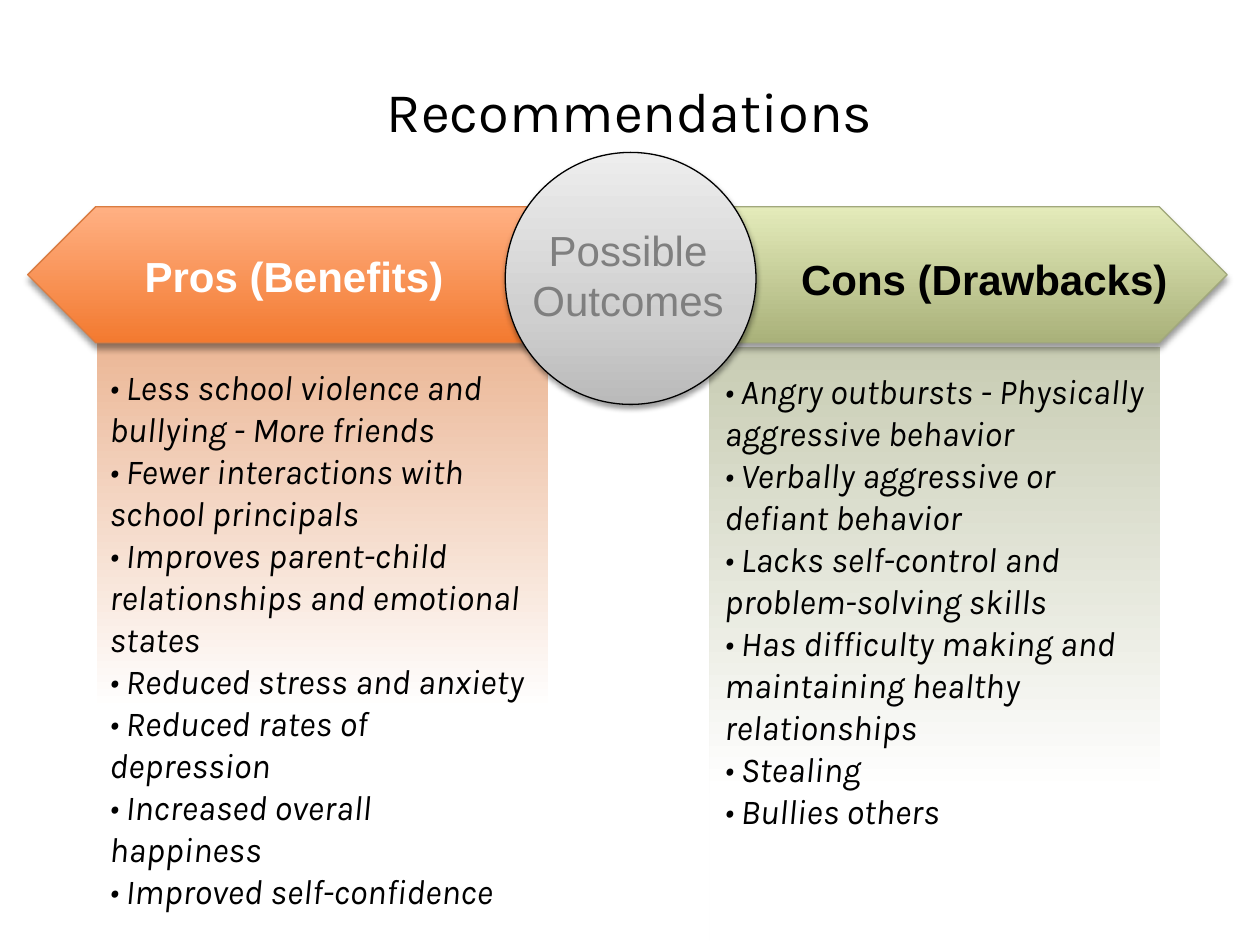
from copy import deepcopy
from dataclasses import dataclass

from lxml import etree
from pptx import Presentation
from pptx import util as u
from pptx.dml.color import RGBColor
from pptx.enum import shapes, text
from pptx.oxml.ns import qn

BLACK = RGBColor(0, 0, 0)
WHITE = RGBColor(0xFF, 0xFF, 0xFF)
GREY = RGBColor(0x7F, 0x7F, 0x7F)
ORANGE_PALE = RGBColor(0xEA, 0xB2, 0x8F)
ORANGE_DARK = RGBColor(0xF3, 0x7A, 0x30)
ORANGE_LIGHT = RGBColor(0xFF, 0xB0, 0x83)
ORANGE_LINE = RGBColor(0xDA, 0x7C, 0x41)
GREEN_PALE = RGBColor(0xC8, 0xCC, 0xB3)
GREEN_DARK = RGBColor(0xA9, 0xB1, 0x7A)
GREEN_LIGHT = RGBColor(0xE4, 0xEB, 0xBA)
GREEN_LINE = RGBColor(0xA1, 0xA8, 0x7C)
SILVERS = [(0, RGBColor(0xBA, 0xBA, 0xBA)), (0.35, RGBColor(0xCF, 0xCF, 0xCF)),
           (1, RGBColor(0xED, 0xED, 0xED))]
DOWN, UP = 270, 90

Place = tuple[float, float, float, float]
Stops = list[tuple[float, RGBColor]]


@dataclass
class Shadow:
    opacity: int
    blur: float
    distance: float


@dataclass
class Column:
    place: Place
    tint: RGBColor
    text_place: Place
    items: list[str]


@dataclass
class Arrow:
    place: Place
    stops: Stops
    line: RGBColor
    text_place: Place
    label: str
    color: RGBColor
    flip: bool = False


COLUMNS = [
    Column((5.63, 2.75, 3.58, 4.72), GREEN_PALE, (5.65, 2.88, 3.58, 4.48), [
        "Angry outbursts - Physically aggressive behavior",
        "Verbally aggressive or defiant behavior",
        "Lacks self-control and problem-solving skills",
        "Has difficulty making and maintaining healthy relationships",
        "Stealing",
        "Bullies others"]),
    Column((0.77, 2.52, 3.58, 4.15), ORANGE_PALE, (0.77, 2.85, 3.5, 4.3), [
        "Less school violence and bullying - More friends",
        "Fewer interactions with school principals",
        "Improves parent-child relationships and emotional states",
        "Reduced stress and anxiety",
        "Reduced rates of depression",
        "Increased overall happiness",
        "Improved self-confidence"]),
]
ARROWS = [
    Arrow((5.23, 1.64, 4.51, 1.08), [(0, GREEN_DARK), (1, GREEN_LIGHT)], GREEN_LINE,
          (6.26, 1.96, 3.4, 0.5), "Cons (Drawbacks)", BLACK),
    Arrow((0.22, 1.64, 4.42, 1.08), [(0, ORANGE_DARK), (1, ORANGE_LIGHT)], ORANGE_LINE,
          (1.05, 1.94, 2.93, 0.5), "Pros (Benefits)", WHITE, flip=True),
]


def set_gradient(shape, stops: Stops, angle: int) -> None:
    shape.fill.gradient()
    shape.fill.gradient_angle = angle
    stop_list = shape._element.spPr.find(".//" + qn("a:gsLst"))
    while len(stop_list) < len(stops):
        stop_list.append(deepcopy(stop_list[-1]))
    for stop, (position, color) in zip(shape.fill.gradient_stops, stops):
        stop.position = position
        stop.color.rgb = color


def set_shadow(shape, shadow: Shadow) -> None:
    """Give the shape a black shadow that falls straight down."""
    effects = shape._element.spPr.find(qn("a:effectLst"))
    outer = etree.SubElement(effects, qn("a:outerShdw"), blurRad=str(u.Pt(shadow.blur)),
                             dist=str(u.Pt(shadow.distance)), dir="5400000", rotWithShape="0")
    color = etree.SubElement(outer, qn("a:srgbClr"), val=str(BLACK))
    etree.SubElement(color, qn("a:alpha"), val=str(shadow.opacity * 1000))


def add_figure(page, kind, place: Place, stops: Stops, angle: int,
               line: RGBColor | None = None, shadow: Shadow | None = None):
    shape = page.shapes.add_shape(kind, *map(u.Inches, place))
    shape.shadow.inherit = False
    set_gradient(shape, stops, angle)
    if line is None:
        shape.line.fill.background()
    else:
        shape.line.color.rgb = line
        shape.line.width = u.Pt(0.75)
    if shadow:
        set_shadow(shape, shadow)
    return shape


def add_text(page, place: Place, lines: list[str], color: RGBColor = BLACK, centered: bool = False,
             anchor=text.MSO_ANCHOR.TOP, **font_format) -> None:
    box = page.shapes.add_textbox(*map(u.Inches, place))
    frame = box.text_frame
    frame.word_wrap = True
    frame.vertical_anchor = anchor
    para = frame.paragraphs[0]
    para.alignment = text.PP_ALIGN.CENTER if centered else text.PP_ALIGN.LEFT
    for index, line in enumerate(lines):
        if index:
            para.add_line_break()
        span = para.add_run()
        span.text = line
        span.font.color.rgb = color
        for name, value in font_format.items():
            setattr(span.font, name, value)


def add_column(page, column: Column) -> None:
    stops = [(0, column.tint), (0.75, WHITE), (1, WHITE)]
    add_figure(page, shapes.MSO_SHAPE.RECTANGLE, column.place, stops, DOWN)
    add_text(page, column.text_place, [f"• {item}" for item in column.items],
             name="Karla", size=u.Pt(20), italic=True)


def add_arrow(page, arrow: Arrow) -> None:
    shape = add_figure(page, shapes.MSO_SHAPE.PENTAGON, arrow.place, arrow.stops, UP,
                       arrow.line, Shadow(40, 4, 3))
    if arrow.flip:
        shape._element.spPr.find(qn("a:xfrm")).set("flipH", "1")
    add_text(page, arrow.text_place, [arrow.label], arrow.color,
             name="Arial", size=u.Pt(24), bold=True)


def main() -> None:
    deck = Presentation()
    deck.slide_width, deck.slide_height = u.Inches(10), u.Inches(7.5)
    page = deck.slides.add_slide(deck.slide_layouts[6])
    for column in COLUMNS:
        add_column(page, column)
    for arrow in ARROWS:
        add_arrow(page, arrow)
    add_figure(page, shapes.MSO_SHAPE.OVAL, (4.01, 1.21, 1.99, 2), SILVERS, UP,
               BLACK, Shadow(38, 3.1, 1.6))
    add_text(page, (4.12, 1.73, 1.73, 0.91), ["Possible Outcomes"], GREY, centered=True,
             name="Arial", size=u.Pt(24))
    add_text(page, (0.5, 0.19, 9, 1.36), ["Recommendations"], centered=True,
             anchor=text.MSO_ANCHOR.MIDDLE, name="Karla", size=u.Pt(32))
    deck.save("out.pptx")


if __name__ == "__main__":
    main()
